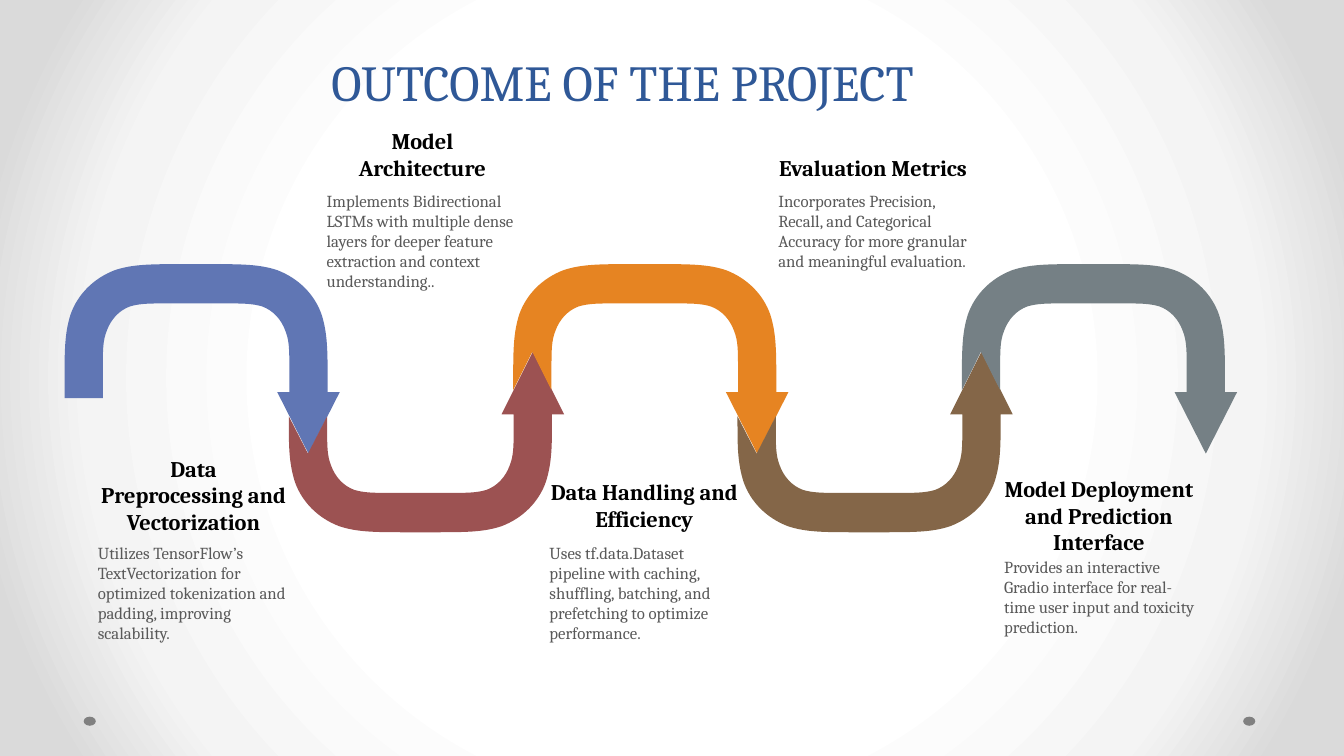
from pptx import Presentation
from pptx.dml.color import RGBColor
from pptx.enum.shapes import MSO_SHAPE
from pptx.enum.text import MSO_ANCHOR, MSO_AUTO_SIZE, PP_ALIGN
from pptx.oxml import parse_xml
from pptx.oxml.ns import qn
from pptx.util import Inches, Pt

FONT = "Cambria"
TITLE_BLUE = RGBColor(0x2F, 0x58, 0x97)
BLACK = RGBColor(0x00, 0x00, 0x00)
BODY_GRAY = RGBColor(0x59, 0x59, 0x59)
DOT_GRAY = RGBColor(0x80, 0x80, 0x80)
BLUE = RGBColor(0x60, 0x76, 0xB4)
MAROON = RGBColor(0x9C, 0x52, 0x52)
ORANGE = RGBColor(0xE6, 0x84, 0x22)
BROWN = RGBColor(0x84, 0x66, 0x48)
SLATE = RGBColor(0x75, 0x80, 0x85)

TITLE = "OUTCOME OF THE PROJECT"
# text, left, top, height
HEADINGS = [
    ("Data Preprocessing and Vectorization", 0.97, 4.45, 0.91),
    ("Model Architecture", 3.24, 1.2, 0.64),
    ("Data Handling and Efficiency", 5.44, 4.69, 0.64),
    ("Evaluation Metrics", 7.71, 1.2, 0.64),
    ("Model Deployment and Prediction Interface", 9.95, 4.38, 1.18),
]
BODIES = [
    ("Utilizes TensorFlow’s TextVectorization for optimized tokenization and padding, "
     "improving scalability.", 0.97, 5.33, 1.11),
    ("Implements Bidirectional LSTMs with multiple dense layers for deeper feature "
     "extraction and context understanding..", 3.24, 1.84, 1.11),
    ("Uses tf.data.Dataset pipeline with caching, shuffling, batching, and prefetching "
     "to optimize performance.", 5.45, 5.33, 1.11),
    ("Incorporates Precision, Recall, and Categorical Accuracy for more granular and "
     "meaningful evaluation.", 7.72, 1.84, 1.11),
    ("Provides an interactive Gradio interface for real-time user input and toxicity "
     "prediction.", 9.96, 5.47, 0.91),
]
LABEL_W = 1.9
ARROW_COLORS = [BLUE, MAROON, ORANGE, BROWN, SLATE]
FIRST_LEFT, LAST_LEFT, ARROW_SPAN = 0.64, 9.54, 2.61
ARCH_TOP, LOOP_BOTTOM = 2.62, 5.28
DOT_LEFTS = [0.83, 12.33]
BG_STOPS = [(50, "FFFFFF"), (76, "F4F4F4"), (92, "DADADA")]
NS = ('xmlns:p="http://schemas.openxmlformats.org/presentationml/2006/main" '
      'xmlns:a="http://schemas.openxmlformats.org/drawingml/2006/main"')


def set_background(s):
    """Fill the slide with a radial gradient from its centre."""
    stops = "".join(f'<a:gs pos="{pos * 1000}"><a:srgbClr val="{rgb}"/></a:gs>'
                    for pos, rgb in BG_STOPS)
    bg = parse_xml(
        f'<p:bg {NS}><p:bgPr><a:gradFill rotWithShape="1"><a:gsLst>{stops}</a:gsLst>'
        '<a:path path="circle"><a:fillToRect l="50000" t="50000" r="50000" b="50000"/>'
        '</a:path></a:gradFill><a:effectLst/></p:bgPr></p:bg>')
    s.element.cSld.insert(0, bg)


def write(sp, text, size, color, bold=False, align=None, anchor=MSO_ANCHOR.TOP,
          inset=0, spacing=None, fit=MSO_AUTO_SIZE.SHAPE_TO_FIT_TEXT):
    """Put one formatted paragraph into a shape."""
    tf = sp.text_frame
    tf.word_wrap = True
    tf.auto_size = fit
    tf.vertical_anchor = anchor
    tf.margin_left = tf.margin_right = Inches(inset)
    p = tf.paragraphs[0]
    p.alignment = align
    if spacing:
        p.line_spacing = spacing
    r = p.add_run()
    r.text = text
    r.font.name, r.font.size, r.font.bold = FONT, Pt(size), bold
    r.font.color.rgb = color


def paint(sp, color):
    """Give a shape a flat fill without line or shadow."""
    sp.fill.solid()
    sp.fill.fore_color.rgb = color
    sp.line.fill.background()
    sp.shadow.inherit = False


def mirror(points):
    """Reflect points left to right and reverse their order."""
    return [(ARROW_SPAN - x, y) for x, y in reversed(points)]


def arrow_outline(shoulder, tip, notch, notched):
    """Return (points, is_curve) runs of a bent arrow whose bend is at depth zero."""
    outer = [(0, shoulder - 0.07), (0, 0.86), (0, 0.69), (0.06, 0.5), (0.13, 0.3),
             (0.29, 0.14), (0.5, 0.06), (0.68, 0), (0.86, 0), (1.2, 0)]
    inner = [(1.04, 0.39), (0.85, 0.39), (0.75, 0.39), (0.65, 0.42), (0.54, 0.46),
             (0.46, 0.55), (0.42, 0.66), (0.38, 0.76), (0.38, 0.85), (0.38, 1.04)]
    head = [(2.61, shoulder), (2.73, shoulder), (2.42, tip),
            (2.11, shoulder), (2.23, shoulder)]
    if notched:
        edge = shoulder - 0.02
        tail = [(0.38, edge), (0.19, notch), (0, edge)]
    else:
        tail = [(0.38, 1.33), (0, 1.33)]
    return [(outer, True), (mirror(outer), True), (head, False),
            (mirror(inner), True), (inner, True), (tail, False)]


def bend(sp, flags):
    """Join each three flagged line ends of a freeform into one cubic curve."""
    lines = list(sp.element.iter(qn("a:lnTo")))
    curved = [line for line, flag in zip(lines, flags) if flag]
    for i in range(0, len(curved), 3):
        cubic = parse_xml(f"<a:cubicBezTo {NS}/>")
        curved[i].addprevious(cubic)
        for line in curved[i:i + 3]:
            cubic.append(line[0])
            line.getparent().remove(line)


def add_arrow(s, index, color):
    """Draw one arrow of the chain, alternating arches and loops."""
    pitch = (LAST_LEFT - FIRST_LEFT) / (len(ARROW_COLORS) - 1)
    left = FIRST_LEFT + index * pitch
    is_loop = index % 2 == 1
    shape = (1.17, 1.79, 0.78) if is_loop else (1.27, 1.88, 0.87)
    points, flags = [], []
    for run, is_curve in arrow_outline(*shape, notched=index > 0):
        points += [(Inches(left + x), Inches(LOOP_BOTTOM - y if is_loop else ARCH_TOP + y))
                   for x, y in run]
        flags += [False] + [is_curve] * (len(run) - 1)
    builder = s.shapes.build_freeform(*points[0], scale=1.0)
    builder.add_line_segments(points[1:], close=True)
    sp = builder.convert_to_shape()
    bend(sp, flags[1:])
    paint(sp, color)


def add_label(s, text, left, top, height, **fmt):
    """Place one text box of the common label width."""
    sp = s.shapes.add_textbox(Inches(left), Inches(top), Inches(LABEL_W), Inches(height))
    write(sp, text, **fmt)


def main():
    """Build the slide and save it."""
    prs = Presentation()
    prs.slide_width, prs.slide_height = Inches(13.33), Inches(7.5)
    s = prs.slides.add_slide(prs.slide_layouts[5])
    set_background(s)
    for left in DOT_LEFTS:
        sp = s.shapes.add_shape(MSO_SHAPE.OVAL, Inches(left), Inches(7.11),
                                Inches(0.12), Inches(0.09))
        paint(sp, DOT_GRAY)
    title = s.shapes.title
    title.left, title.top = Inches(0.33), Inches(0.38)
    title.width, title.height = Inches(11.69), Inches(0.78)
    write(title, TITLE, 36, TITLE_BLUE, align=PP_ALIGN.CENTER, anchor=MSO_ANCHOR.BOTTOM,
          inset=0.1, spacing=Pt(58), fit=MSO_AUTO_SIZE.NONE)
    for index, color in enumerate(ARROW_COLORS):
        add_arrow(s, index, color)
    for heading, body in zip(HEADINGS, BODIES):
        add_label(s, *heading, size=16, color=BLACK, bold=True,
                  align=PP_ALIGN.CENTER, anchor=MSO_ANCHOR.BOTTOM)
        add_label(s, *body, size=12, color=BODY_GRAY)


    prs.save("out.pptx")


if __name__ == "__main__":
    main()
